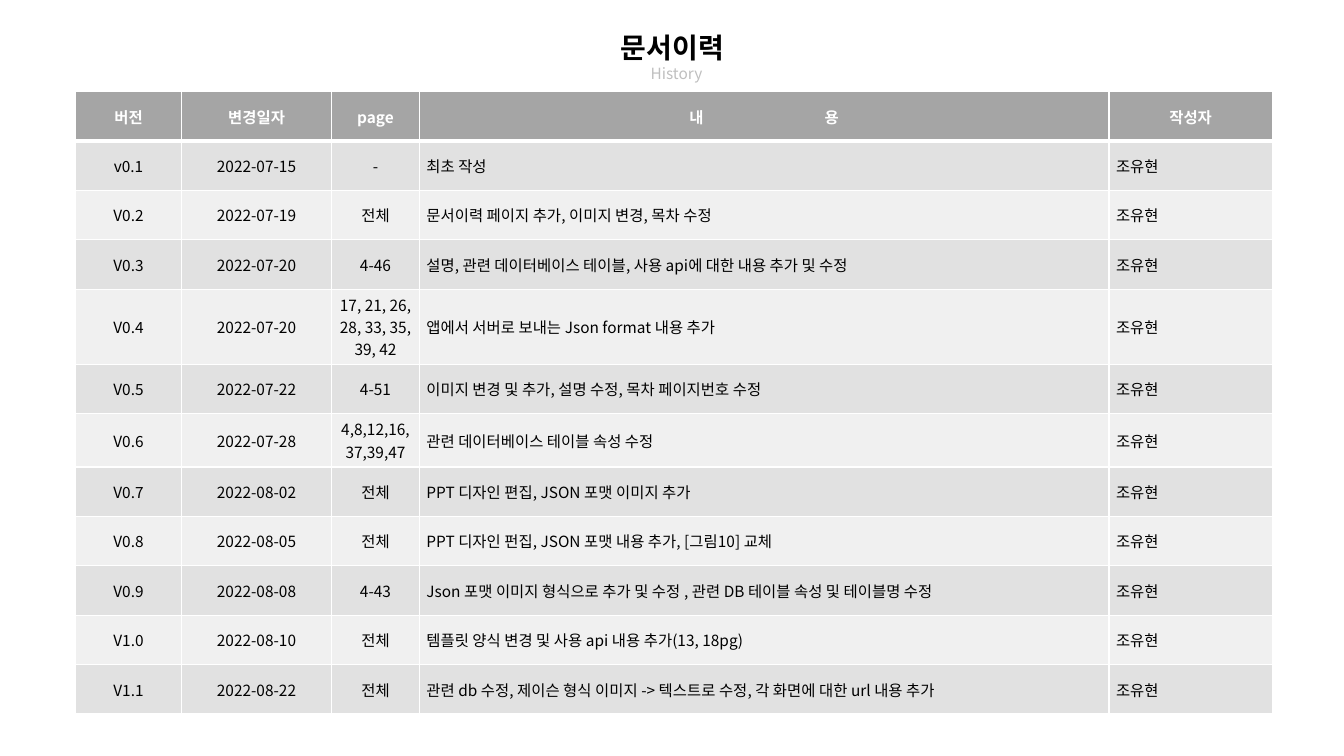
from lxml import etree
from pptx import Presentation
from pptx import util as u
from pptx.dml.color import RGBColor
from pptx.enum import text
from pptx.oxml import ns

FONT = "Noto Sans CJK KR"


def add_span(para, words, size, colour, bold=False):
    span = para.add_run()
    span.text = words
    span.font.name = FONT
    span.font.size = u.Pt(size)
    span.font.bold = bold
    span.font.color.rgb = RGBColor.from_string(colour)
    east_asian = etree.SubElement(span.font._element, ns.qn("a:ea"))
    east_asian.set("typeface", FONT)
    return span


def add_border(cell, side, points):
    line = etree.SubElement(cell._tc.get_or_add_tcPr(), ns.qn("a:" + side))
    line.set("w", str(u.Pt(points)))
    fill = etree.SubElement(line, ns.qn("a:solidFill"))
    etree.SubElement(fill, ns.qn("a:srgbClr")).set("val", "FFFFFF")


deck = Presentation()
deck.slide_width = u.Inches(13.33)
deck.slide_height = u.Inches(7.5)
page = deck.slides.add_slide(deck.slide_layouts[5])

# History table
headers = ["버전", "변경일자", "page", "내 용", "작성자"]
author = "조유현"
revisions = [
    ("v0.1", "2022-07-15", "-", "최초 작성"),
    ("V0.2", "2022-07-19", "전체", "문서이력 페이지 추가, 이미지 변경, 목차 수정"),
    ("V0.3", "2022-07-20", "4-46", "설명, 관련 데이터베이스 테이블, 사용 api에 대한 내용 추가 및 수정"),
    ("V0.4", "2022-07-20", "17, 21, 26, 28, 33, 35, 39, 42", "앱에서 서버로 보내는 Json format 내용 추가"),
    ("V0.5", "2022-07-22", "4-51", "이미지 변경 및 추가, 설명 수정, 목차 페이지번호 수정"),
    ("V0.6", "2022-07-28", "4,8,12,16,37,39,47", "관련 데이터베이스 테이블 속성 수정"),
    ("V0.7", "2022-08-02", "전체", "PPT 디자인 편집, JSON 포맷 이미지 추가"),
    ("V0.8", "2022-08-05", "전체", "PPT 디자인 펀집, JSON 포맷 내용 추가, [그림10] 교체"),
    ("V0.9", "2022-08-08", "4-43", "Json 포맷 이미지 형식으로 추가 및 수정 , 관련 DB 테이블 속성 및 테이블명 수정"),
    ("V1.0", "2022-08-10", "전체", "템플릿 양식 변경 및 사용 api 내용 추가(13, 18pg)"),
    ("V1.1", "2022-08-22", "전체", "관련 db 수정, 제이슨 형식 이미지 -> 텍스트로 수정, 각 화면에 대한 url 내용 추가"),
]
rows = [headers] + [(*revision, author) for revision in revisions]
widths = [1.05, 1.49, 0.87, 6.84, 1.62]
tall_rows = {4: 0.74, 6: 0.53}

history = page.shapes.add_table(
    len(rows), len(widths), u.Inches(0.75), u.Inches(0.91), u.Inches(11.87), u.Inches(6.17)
).table
for column, width in zip(history.columns, widths):
    column.width = u.Inches(width)

for r, row in enumerate(rows):
    history.rows[r].height = u.Inches(tall_rows.get(r, 0.49))
    is_header = r == 0
    fill_colour = "A5A5A5" if is_header else ("F0F0F0", "E1E1E1")[r % 2]
    text_colour = "FFFFFF" if is_header else "000000"
    for c, words in enumerate(row):
        cell = history.cell(r, c)
        cell.vertical_anchor = text.MSO_ANCHOR.MIDDLE
        cell.margin_left = cell.margin_right = u.Inches(0.07)
        cell.margin_top = cell.margin_bottom = u.Inches(0.04)
        # A thick line parts the header from the revisions
        add_border(cell, "lnL", 1)
        add_border(cell, "lnR", 1)
        add_border(cell, "lnT", 3 if r == 1 else 1)
        add_border(cell, "lnB", 3 if is_header else 1)
        cell.fill.solid()
        cell.fill.fore_color.rgb = RGBColor.from_string(fill_colour)
        para = cell.text_frame.paragraphs[0]
        centred = is_header or c < 3
        para.alignment = text.PP_ALIGN.CENTER if centred else text.PP_ALIGN.LEFT
        if words == "내 용":
            # Wide letter spacing sets the two syllables apart
            add_span(para, "내", 11, text_colour, True)
            gap = add_span(para, " ", 11, text_colour, True)
            gap.font._element.set("spc", "8400")
            add_span(para, "용", 11, text_colour, True)
        else:
            add_span(para, words, 11, text_colour, is_header)

# Title with subtitle
title = page.shapes.title
title.left, title.top = u.Inches(5.84), u.Inches(0.25)
title.width, title.height = u.Inches(1.66), u.Inches(0.62)
frame = title.text_frame
frame.word_wrap = True
frame.auto_size = text.MSO_AUTO_SIZE.NONE
frame.vertical_anchor = text.MSO_ANCHOR.TOP
heading = frame.paragraphs[0]
heading.alignment = text.PP_ALIGN.CENTER
add_span(heading, "문서이력", 20, "000000", True)
subtitle = frame.add_paragraph()
subtitle.alignment = text.PP_ALIGN.CENTER
subtitle._p.get_or_add_pPr().set("marL", str(u.Inches(0.08)))
add_span(subtitle, "History", 11, "BFBFBF")

deck.save("out.pptx")
